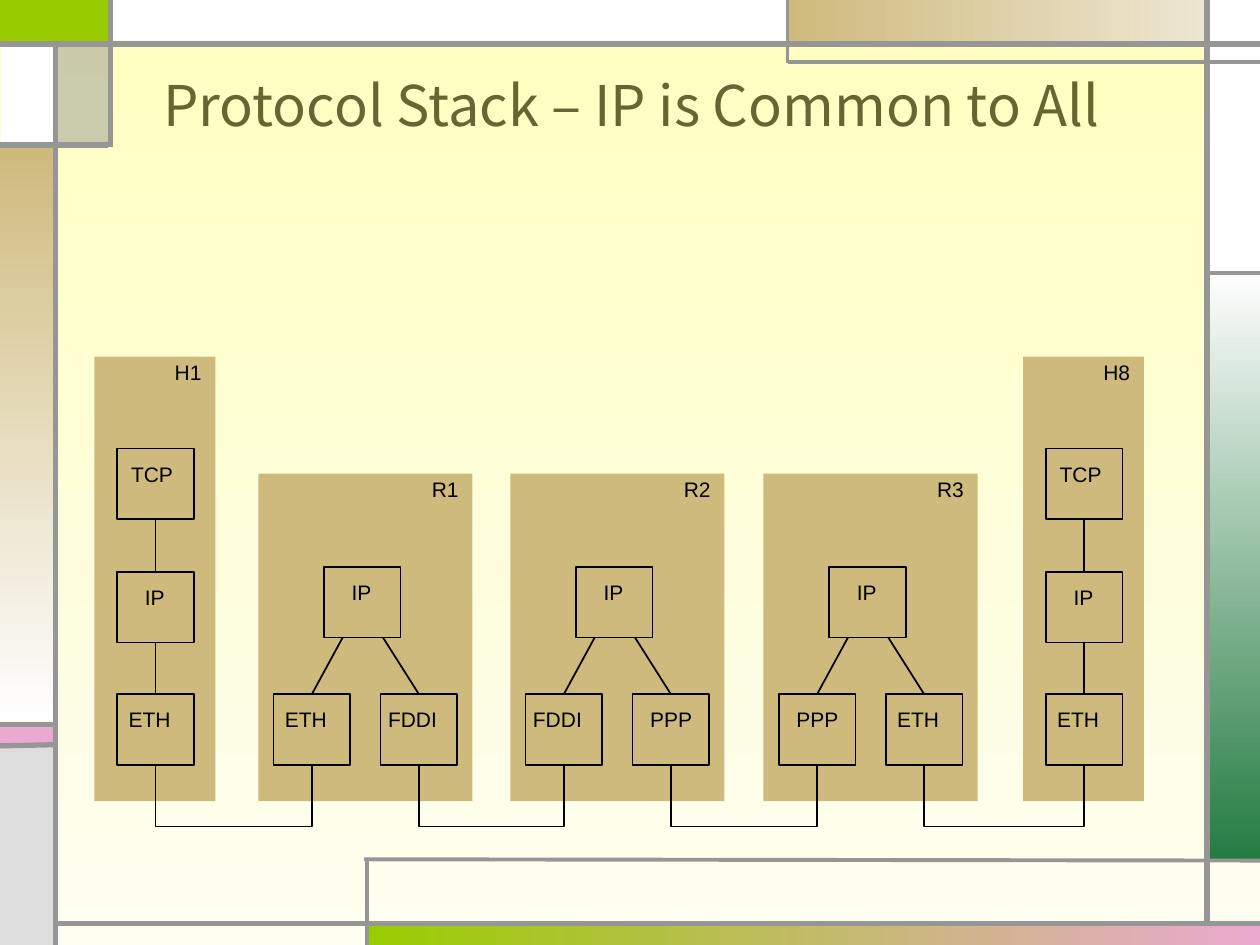
from pptx import Presentation
from pptx.dml.color import RGBColor
from pptx.enum.shapes import MSO_CONNECTOR, MSO_SHAPE
from pptx.enum.text import MSO_ANCHOR, PP_ALIGN
from pptx.oxml.ns import qn
from pptx.util import Pt
from lxml.etree import SubElement

PX = 9144
W, H = 1000, 750
BOX_W, BOX_H = 61, 56
COLORS = {
    "cream": "FFFFBF", "ivory": "FEFEF1", "lime": "99CC00", "pink": "EBA9D0",
    "white": "FFFFFF", "mist": "FEFEFE", "green": "247C41", "silver": "DDDDDD",
    "sand": "CFBA7D", "pale": "EDE6D2", "gray": "969696", "olive": "666633",
    "black": "000000",
}
LABEL_INSET = {"TCP": 11, "IP": 22, "ETH": 9, "FDDI": 6, "PPP": 14}
TILES = [
    (0, 0, 87, 34, ("lime",), 0),
    (292, 733, 708, 17, ("lime", "pink"), 0),
    (958, 217, 42, 466, ("mist", "green"), 270),
    (0, 575, 42, 17, ("pink",), 0),
    (0, 593, 42, 157, ("silver",), 0),
    (958, 0, 42, 216, ("white",), 0),
    (625, 0, 333, 33, ("sand", "pale"), 0),
    (46, 33, 42, 82, ("gray",), 0),
    (0, 115, 42, 457, ("sand", "mist"), 270),
    (1, 33, 42, 82, ("white",), 0),
    (86, 0, 539, 32, ("white",), 0),
]
RULES = [
    (44, 750, 44, 33, 3), (44, 733, 1000, 733, 3), (958, 733, 958, 0, 3),
    (0, 35, 1000, 35, 3), (1000, 49, 625, 49, 2.25), (625, 50, 625, 0, 2.25),
    (958, 217, 1000, 217, 2.25), (88, 0, 88, 117, 3), (86, 115, 0, 115, 3),
    (291, 750, 291, 681, 2.25), (289, 682, 1000, 683, 2.25),
    (46, 575, 0, 575, 3), (46, 591, 0, 592, 3),
]


def rgb(name):
    """Look up a named colour."""
    return RGBColor.from_string(COLORS[name])


def paint(fill, names, angle=0):
    """Apply no fill, a solid fill or a two-colour gradient."""
    if not names:
        fill.background()
    elif len(names) == 1:
        fill.solid()
        fill.fore_color.rgb = rgb(names[0])
    else:
        fill.gradient()
        fill.gradient_angle = angle
        for stop, name in zip(fill.gradient_stops, names):
            stop.color.rgb = rgb(name)


def rect(s, x, y, w, h, names=(), angle=0, outline=None):
    """Add a flat rectangle."""
    sp = s.shapes.add_shape(MSO_SHAPE.RECTANGLE, x * PX, y * PX, w * PX, h * PX)
    sp.shadow.inherit = False
    paint(sp.fill, names, angle)
    if outline:
        sp.line.color.rgb = rgb(outline)
        sp.line.width = Pt(1)
    else:
        sp.line.fill.background()
    return sp


def line(s, x1, y1, x2, y2, color="black", width=1):
    """Add a straight connector without a shadow."""
    c = s.shapes.add_connector(MSO_CONNECTOR.STRAIGHT, x1 * PX, y1 * PX, x2 * PX, y2 * PX)
    c.line.color.rgb = rgb(color)
    c.line.width = Pt(width)
    SubElement(c._element.spPr, qn("a:effectLst"))
    return c


def write(sp, text, size=12, name="Arial", color="black", align=PP_ALIGN.LEFT,
          anchor=MSO_ANCHOR.TOP, insets=(0, 0, 0, 0), wrap=True):
    """Put one formatted paragraph in a shape."""
    tf = sp.text_frame
    margins = ("margin_left", "margin_top", "margin_right", "margin_bottom")
    layout = dict(zip(margins, (n * PX for n in insets)))
    for key, value in {**layout, "word_wrap": wrap, "vertical_anchor": anchor}.items():
        setattr(tf, key, value)
    p = tf.paragraphs[0]
    p.alignment = align
    r = p.add_run()
    r.text = text
    for key, value in {"size": Pt(size), "name": name}.items():
        setattr(r.font, key, value)
    r.font.color.rgb = rgb(color)


def frame(s, x, y):
    """Draw the decorative tiles and rules around the slide."""
    for dx, dy, w, h, names, angle in TILES:
        sp = rect(s, x + dx, y + dy, w, h, names, angle)
        if names == ("gray",):
            clr = sp._element.spPr.find(qn("a:solidFill"))[0]
            SubElement(clr, qn("a:alpha"), val="50000")
    for x1, y1, x2, y2, width in RULES:
        line(s, x + x1, y + y1, x + x2, y + y2, "gray", width)


def title(s, x, y, w, h, text):
    """Place the centred slide title."""
    tb = s.shapes.add_textbox(x * PX, y * PX, w * PX, h * PX)
    write(tb, text, 32, "Noto Sans CJK KR", "olive", PP_ALIGN.CENTER,
          MSO_ANCHOR.MIDDLE, (10, 5, 10, 5))


def panel(s, x, y, w, h, name):
    """Draw a node's background with its name at the top right."""
    sp = rect(s, x, y, w, h, ("sand",))
    write(sp, name, align=PP_ALIGN.RIGHT, insets=(0, 2, 11, 0))


def layer(s, x, y, protocol):
    """Draw one protocol box."""
    sp = rect(s, x, y, BOX_W, BOX_H, outline="black")
    write(sp, protocol, insets=(LABEL_INSET[protocol], 10, 0, 0), wrap=False)
    return sp


def host(s, x, y, w, h, name):
    """Draw an end host and return its network port."""
    panel(s, x, y, w, h, name)
    boxes = [layer(s, x + 18, y + 73 + round(97.5 * i), protocol)
             for i, protocol in enumerate(("TCP", "IP", "ETH"))]
    for upper, lower in zip(boxes, boxes[1:]):
        c = line(s, x, y, x, y)
        c.begin_connect(upper, 2)
        c.end_connect(lower, 0)
    return boxes[-1]


def router(s, x, y, w, h, name, protocols):
    """Draw a router and return its two network ports."""
    panel(s, x, y, w, h, name)
    layer(s, x + 52, y + 74, "IP")
    ports = []
    for protocol, dx, start in zip(protocols, (12, 97), (67, 99)):
        port = layer(s, x + dx, y + 175, protocol)
        c = line(s, x + start, y + 74 + BOX_H, x + dx, y + 175)
        c.end_connect(port, 0)
        ports.append(port)
    return ports


def link(s, left, right, y):
    """Join two ports by a bracket whose base lies at y."""
    (x1, y1), (x2, y2) = [(p.left + p.width // 2, p.top + p.height) for p in (left, right)]
    fb = s.shapes.build_freeform(x1, y1)
    fb.add_line_segments([(x1, y * PX), (x2, y * PX), (x2, y2)], close=False)
    sp = fb.convert_to_shape()
    sp.shadow.inherit = False
    sp.fill.background()
    sp.line.color.rgb = rgb("black")
    sp.line.width = Pt(1)


def network(s, x, y):
    """Draw hosts, routers and the links between neighbours."""
    ports = [host(s, x, y, 96, 353, "H1")]
    routers = (("R1", ("ETH", "FDDI")), ("R2", ("FDDI", "PPP")), ("R3", ("PPP", "ETH")))
    for i, (name, protocols) in enumerate(routers):
        ports += router(s, x + 130 + round(200.5 * i), y + 93, 170, 260, name, protocols)
    ports.append(host(s, x + 737, y, 96, 353, "H8"))
    for left, right in zip(ports[::2], ports[1::2]):
        link(s, left, right, y + 373)


def main():
    """Build and save the slide."""
    prs = Presentation()
    prs.slide_width, prs.slide_height = W * PX, H * PX
    s = prs.slides.add_slide(prs.slide_layouts[6])
    paint(s.background.fill, ("cream", "ivory"), 270)
    frame(s, 0, 0)
    title(s, 60, 43, 883, 79, "Protocol Stack – IP is Common to All")
    network(s, 75, 283)
    prs.save("out.pptx")


if __name__ == "__main__":
    main()
